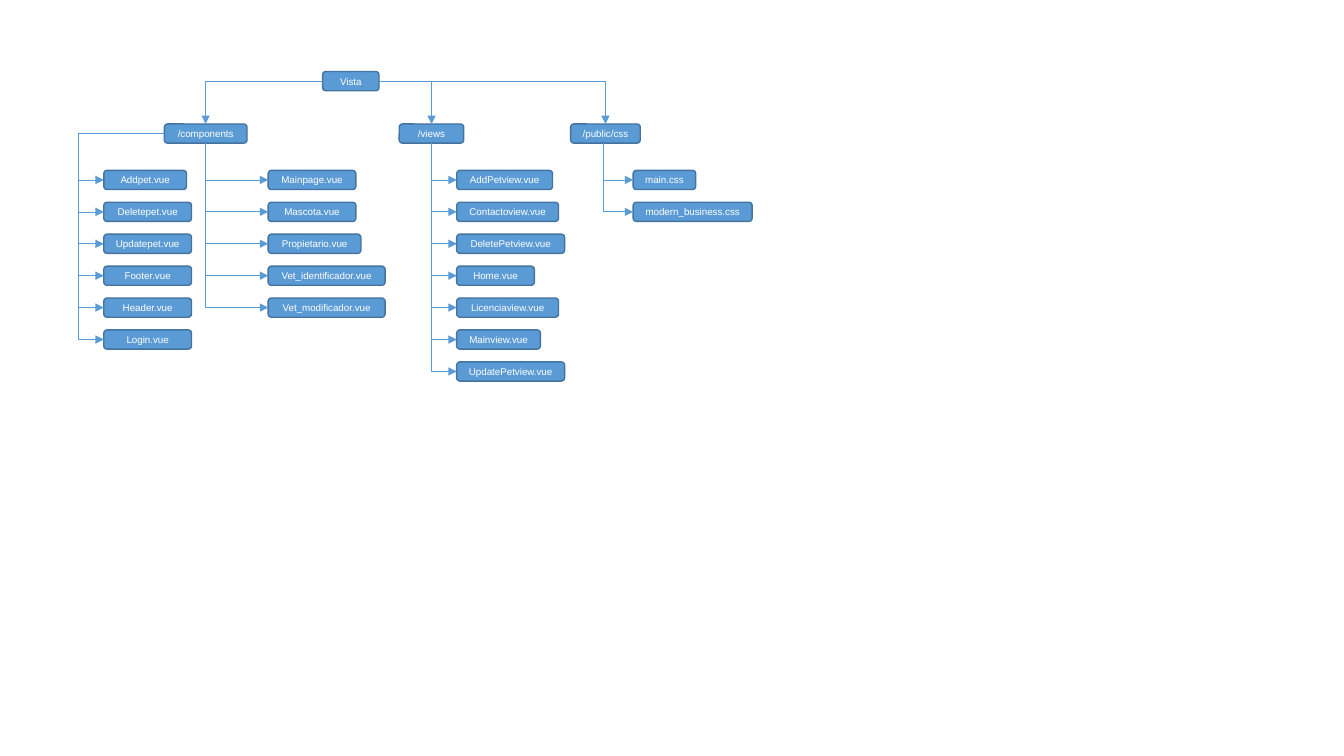
from dataclasses import dataclass

from lxml.etree import SubElement
from pptx import Presentation
from pptx.dml.color import RGBColor
from pptx.enum.shapes import MSO_CONNECTOR as CONN, MSO_SHAPE as SHAPE
from pptx.enum.text import MSO_ANCHOR as ANCHOR, PP_ALIGN as ALIGN
from pptx.oxml.ns import qn
from pptx.shapes.autoshape import Shape
from pptx.shapes.connector import Connector
from pptx.slide import Slide
from pptx.util import Inches, Pt


@dataclass(frozen=True)
class Theme:
    fill: RGBColor = RGBColor.from_string("5B9BD5")
    border: RGBColor = RGBColor.from_string("43739E")
    text: RGBColor = RGBColor.from_string("FFFFFF")
    font: str = "Arial"
    size: float = 7
    border_width: float = 1
    link_width: float = 0.5


@dataclass(frozen=True)
class Node:
    text: str
    left: float
    top: float
    width: float

    @property
    def right(self) -> float:
        return self.left + self.width

    @property
    def center(self) -> float:
        return self.left + self.width / 2

    @property
    def middle(self) -> float:
        return self.top + NODE_HEIGHT / 2

    @property
    def bottom(self) -> float:
        return self.top + NODE_HEIGHT


@dataclass(frozen=True)
class FileColumn:
    folder: Node
    left: float
    trunk: float
    files: list[tuple[str, float]]


THEME = Theme()
NODE_HEIGHT = 0.19
FOLDER_TOP = 1.23
FILE_TOP = 1.69
FILE_PITCH = 1.9 / 6

ROOT = Node("Vista", 3.2, 0.71, 0.56)
COMPONENTS = Node("/components", 1.63, FOLDER_TOP, 0.82)
VIEWS = Node("/views", 3.96, FOLDER_TOP, 0.64)
CSS = Node("/public/css", 5.66, FOLDER_TOP, 0.69)

COLUMNS = [
    FileColumn(COMPONENTS, 1.03, 0.78, [
        ("Addpet.vue", 0.82), ("Deletepet.vue", 0.87), ("Updatepet.vue", 0.87),
        ("Footer.vue", 0.87), ("Header.vue", 0.87), ("Login.vue", 0.87),
    ]),
    FileColumn(COMPONENTS, 2.66, 2.04, [
        ("Mainpage.vue", 0.87), ("Mascota.vue", 0.87), ("Propietario.vue", 0.92),
        ("Vet_identificador.vue", 1.16), ("Vet_modificador.vue", 1.16),
    ]),
    FileColumn(VIEWS, 4.53, 4.28, [
        ("AddPetview.vue", 0.95), ("Contactoview.vue", 1.01),
        ("DeletePetview.vue", 1.07), ("Home.vue", 0.77),
        ("Licenciaview.vue", 1.01), ("Mainview.vue", 0.83),
        ("UpdatePetview.vue", 1.07),
    ]),
    FileColumn(CSS, 6.28, 5.98, [("main.css", 0.62), ("modern_business.css", 1.18)]),
]


def write_text(sp: Shape, text: str, *, size: float = THEME.size,
               color: RGBColor = THEME.text, align: ALIGN = ALIGN.CENTER) -> None:
    tf = sp.text_frame
    tf.margin_left = tf.margin_right = tf.margin_top = tf.margin_bottom = 0
    tf.vertical_anchor = ANCHOR.MIDDLE
    tf.word_wrap = False
    p = tf.paragraphs[0]
    p.alignment = align
    r = p.add_run()
    r.text = text
    r.font.name, r.font.size, r.font.color.rgb = THEME.font, Pt(size), color


def draw_node(s: Slide, node: Node) -> None:
    sp = s.shapes.add_shape(SHAPE.ROUNDED_RECTANGLE, Inches(node.left), Inches(node.top),
                            Inches(node.width), Inches(NODE_HEIGHT))
    sp.shadow.inherit = False
    sp.fill.solid()
    sp.fill.fore_color.rgb = THEME.fill
    sp.line.color.rgb = THEME.border
    sp.line.width = Pt(THEME.border_width)
    write_text(sp, node.text)


def draw_elbow(s: Slide, x1: float, y1: float, x2: float, y2: float,
               preset: str = "bentConnector2") -> Connector:
    c = s.shapes.add_connector(CONN.ELBOW, Inches(x1), Inches(y1), Inches(x2), Inches(y2))
    c.line.color.rgb = THEME.fill
    c.line.width = Pt(THEME.link_width)
    props = c._element.spPr
    props.find(qn("a:prstGeom")).set("prst", preset)
    SubElement(props.find(qn("a:ln")), qn("a:tailEnd"), type="triangle")
    SubElement(props, qn("a:effectLst"))
    return c


def draw_down_then_across(s: Slide, x1: float, y1: float, x2: float, y2: float) -> None:
    """Turn an across-then-down elbow by 270 degrees about its centre."""
    dx, dy = x2 - x1, y2 - y1
    cx, cy = (x1 + x2) / 2, (y1 + y2) / 2
    c = draw_elbow(s, cx + dy / 2, cy - dx / 2, cx - dy / 2, cy + dx / 2)
    c._element.spPr.find(qn("a:xfrm")).set("rot", str(270 * 60000))


def draw_around_left(s: Slide, x1: float, y1: float, x2: float, y2: float,
                     trunk: float) -> None:
    """Leave to the left, run down the trunk and come back to the right."""
    c = draw_elbow(s, x1, y1, x2, y2, "bentConnector3")
    guides = c._element.spPr.find(qn("a:prstGeom")).get_or_add_avLst()
    bend = round((x1 - trunk) / (x1 - x2) * 100000)
    SubElement(guides, qn("a:gd"), name="adj1", fmla=f"val {bend}")


def draw_folder(s: Slide, folder: Node) -> None:
    draw_node(s, folder)
    start = ROOT.left if folder.center < ROOT.left else ROOT.right
    draw_elbow(s, start, ROOT.middle, folder.center, folder.top)


def draw_column(s: Slide, column: FileColumn) -> None:
    folder = column.folder
    for row, (text, width) in enumerate(column.files):
        file = Node(text, column.left, FILE_TOP + row * FILE_PITCH, width)
        draw_node(s, file)
        if column.trunk < folder.left:
            draw_around_left(s, folder.left, folder.middle, file.left, file.middle,
                             column.trunk)
        else:
            draw_down_then_across(s, column.trunk, folder.bottom, file.left, file.middle)


def main() -> None:
    prs = Presentation()
    prs.slide_width, prs.slide_height = Inches(13.33), Inches(7.5)
    s = prs.slides.add_slide(prs.slide_layouts[6])
    draw_node(s, ROOT)
    for folder in (COMPONENTS, VIEWS, CSS):
        draw_folder(s, folder)
    for column in COLUMNS:
        draw_column(s, column)
    prs.save("out.pptx")


if __name__ == "__main__":
    main()
